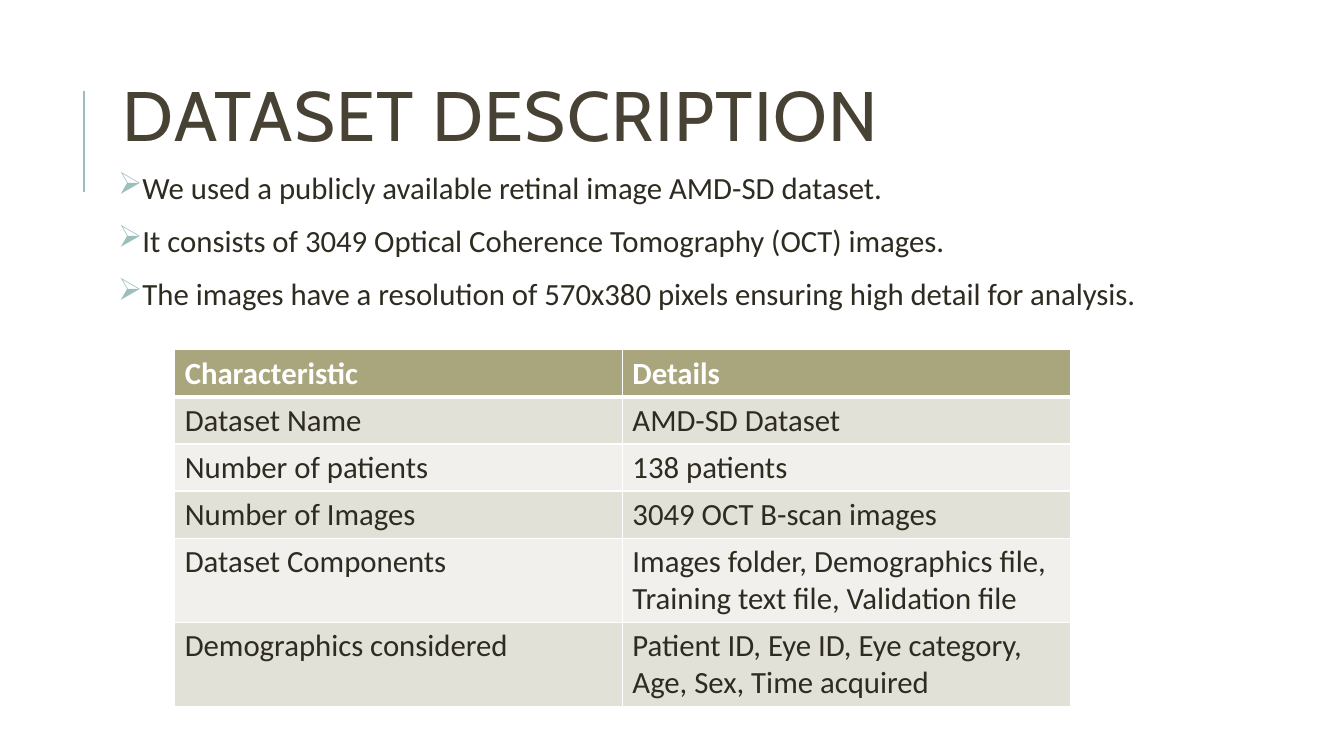
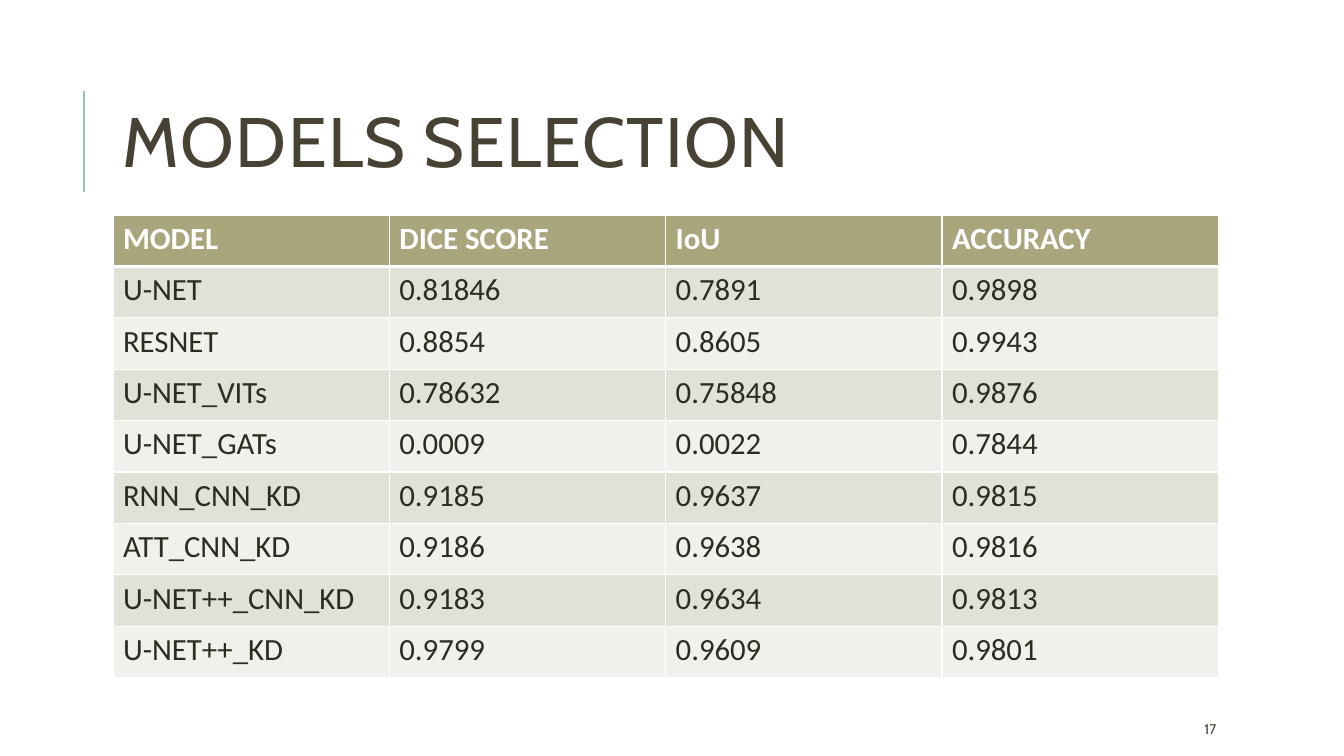
from dataclasses import dataclass

from lxml.etree import SubElement as Sub
from pptx import Presentation
from pptx.dml.color import RGBColor as Rgb
from pptx.enum.shapes import MSO_CONNECTOR as Conn
from pptx.enum.text import MSO_ANCHOR as Anchor
from pptx.oxml.ns import qn
from pptx.util import Inches, Pt

COLS, ROWS = 160, 90  # slide grid
UNIT = Inches(1) // 12


@dataclass(frozen=True)
class Theme:
    head: str = "Cabin"
    body: str = "Calibri"
    title: str = "474233"
    ink: str = "2E2B21"
    mint: str = "9CBEBD"
    olive: str = "A9A57C"
    bands: tuple = ("E2E1D7", "F1F0EC")
    white: str = "FFFFFF"
    big: int = 50
    mid: int = 22
    small: int = 10


THEME = Theme()
LEFT = 13.45

POINTS = (
    "We used a publicly available retinal image AMD-SD dataset.",
    "It consists of 3049 Optical Coherence Tomography (OCT) images.",
    "The images have a resolution of 570x380 pixels ensuring high detail for analysis.",
)
FACTS = (
    ("Characteristic", "Details"),
    ("Dataset Name", "AMD-SD Dataset"),
    ("Number of patients", "138 patients"),
    ("Number of Images", "3049 OCT B-scan images"),
    ("Dataset Components",
     "Images folder, Demographics file, Training text file, Validation file"),
    ("Demographics considered",
     "Patient ID, Eye ID, Eye category, Age, Sex, Time acquired"),
)
SCORES = (
    ("MODEL", "DICE SCORE", "IoU", "ACCURACY"),
    ("U-NET", "0.81846", "0.7891", "0.9898"),
    ("RESNET", "0.8854", "0.8605", "0.9943"),
    ("U-NET_VITs", "0.78632", "0.75848", "0.9876"),
    ("U-NET_GATs", "0.0009", "0.0022", "0.7844"),
    ("RNN_CNN_KD", "0.9185", "0.9637", "0.9815"),
    ("ATT_CNN_KD", "0.9186", "0.9638", "0.9816"),
    ("U-NET++_CNN_KD", "0.9183", "0.9634", "0.9813"),
    ("U-NET++_KD", "0.9799", "0.9609", "0.9801"),
)


def grid(*cells):
    """Turn grid columns and rows into lengths."""
    return [round(cell * UNIT) for cell in cells]


def write(para, text, size=THEME.mid, font=THEME.body, color=THEME.ink,
          bold=False, track=0, lead=None, before=None, after=None):
    para.line_spacing = lead
    para.space_before = before
    para.space_after = after
    run = para.add_run()
    run.text = text
    run.font.size = Pt(size)
    run.font.name = font
    run.font.bold = bold
    run.font.color.rgb = Rgb.from_string(color)
    if track:
        run.font._element.set("spc", str(track * 100))


def add_box(slide, box, anchor=Anchor.TOP):
    frame = slide.shapes.add_textbox(*grid(*box)).text_frame
    frame.word_wrap = True
    frame.vertical_anchor = anchor
    return frame


def tint(parent, color):
    fill = Sub(parent, qn("a:solidFill"))
    Sub(fill, qn("a:srgbClr"), val=color)


def add_bar(slide, x, top, end):
    bar = slide.shapes.add_connector(Conn.STRAIGHT, *grid(x, end, x, top))
    bar.line.color.rgb = Rgb.from_string(THEME.mint)
    bar.line.width = Pt(1.5)
    Sub(bar._element.spPr, qn("a:effectLst"))


def add_title(slide, text, top):
    add_bar(slide, 10, 10.8, 22.8)
    frame = add_box(slide, (LEFT, top, 127.5, 19.7), Anchor.MIDDLE)
    write(frame.paragraphs[0], text, size=THEME.big, font=THEME.head,
          color=THEME.title, track=1, lead=0.8)


def add_list(slide, box, items):
    frame = add_box(slide, box)
    frame.margin_left = frame.margin_right = Inches(0.05)
    for i, item in enumerate(items):
        para = frame.add_paragraph() if i else frame.paragraphs[0]
        write(para, item, lead=0.9, before=Pt(12), after=Pt(2))
        props = para._p.get_or_add_pPr()
        props.set("marL", str(Inches(0.1)))
        props.set("indent", str(-Inches(0.1)))
        tint_tag = Sub(props, qn("a:buClr"))
        Sub(tint_tag, qn("a:srgbClr"), val=THEME.mint)
        Sub(props, qn("a:buChar"), char="➢")


def edge(cell, fill, **widths):
    """Fill a cell and rule its sides, 1 pt unless told otherwise."""
    props = cell._tc.get_or_add_tcPr()
    for side in "LRTB":
        width = Pt(widths.get(side, 1))
        tint(Sub(props, qn(f"a:ln{side}"), w=str(width)), THEME.white)
    cell.fill.solid()
    cell.fill.fore_color.rgb = Rgb.from_string(fill)


def add_grid(slide, box, data):
    """Place a table with a header row and two-tone bands."""
    shape = slide.shapes.add_table(len(data), len(data[0]), *grid(*box))
    for r, row in enumerate(data):
        for c, text in enumerate(row):
            cell = shape.table.cell(r, c)
            para = cell.text_frame.paragraphs[0]
            if r == 0:
                write(para, text, color=THEME.white, bold=True)
                edge(cell, THEME.olive, B=3)
            else:
                write(para, text)
                edge(cell, THEME.bands[(r - 1) % 2], T=3 if r == 1 else 1)


def add_page(slide, number):
    frame = add_box(slide, (142.2, 85, 12.7, 3.6), Anchor.MIDDLE)
    write(frame.paragraphs[0], number, size=THEME.small, font=THEME.head,
          color=THEME.title)


def data_slide(slide):
    add_title(slide, "DATASET DESCRIPTION", 4.55)
    add_list(slide, (LEFT, 20, 136, 21.6), POINTS)
    add_grid(slide, (20.8, 41.65, 106.6, 29.5), FACTS)


def model_slide(slide):
    add_title(slide, "MODELS SELECTION", 7.7)
    add_grid(slide, (LEFT, 25.6, 131.6, 55.1), SCORES)
    add_page(slide, "17")


def main():
    deck = Presentation()
    deck.slide_width, deck.slide_height = grid(COLS, ROWS)
    for build in (data_slide, model_slide):
        build(deck.slides.add_slide(deck.slide_layouts[6]))
    deck.save("out.pptx")


if __name__ == "__main__":
    main()
